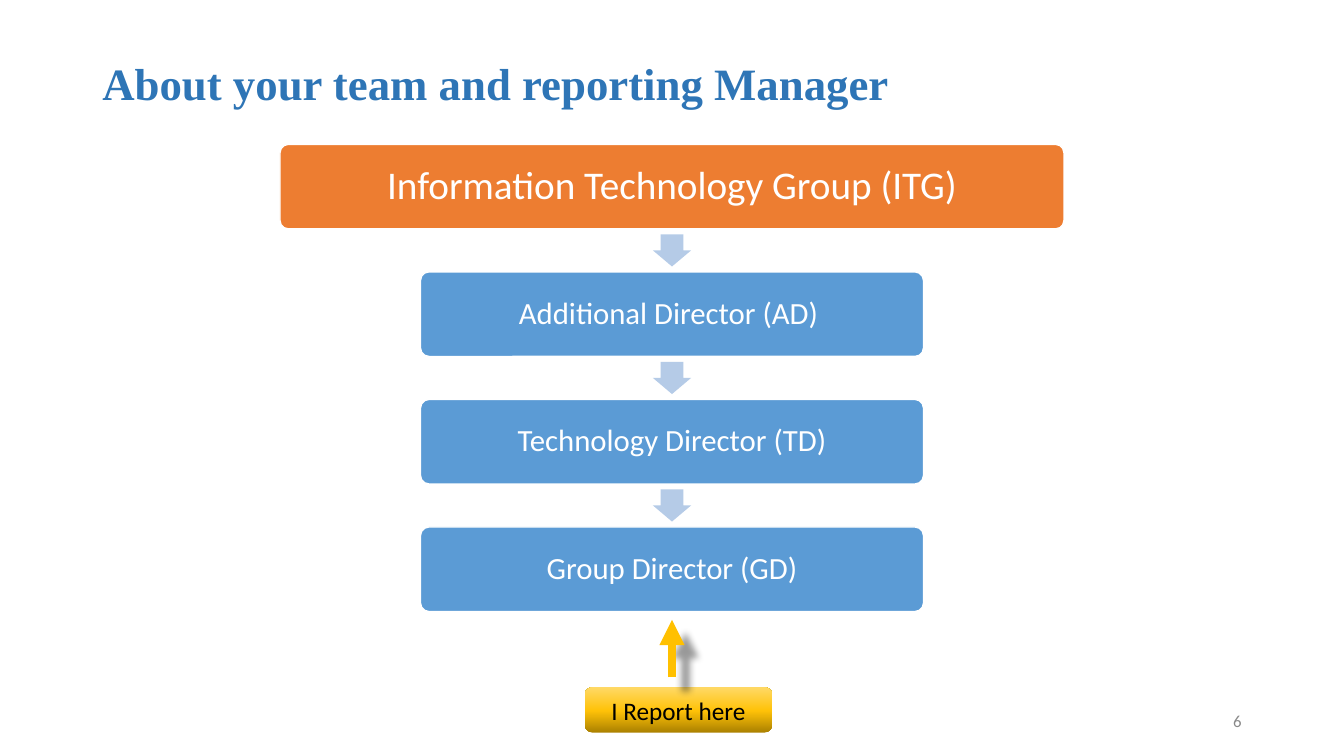
import pptx
import pptx.util
from pptx.dml.color import RGBColor
from pptx.enum.shapes import MSO_CONNECTOR, MSO_SHAPE
from pptx.enum.text import MSO_ANCHOR, PP_ALIGN
from pptx.oxml import parse_xml
from pptx.oxml.ns import nsdecls

Pt = pptx.util.Pt

WHITE = RGBColor(0xFF, 0xFF, 0xFF)
BLACK = RGBColor(0x00, 0x00, 0x00)
TITLE_BLUE = RGBColor(0x2E, 0x75, 0xB6)
GREY = RGBColor(0x89, 0x89, 0x89)
ORANGE = RGBColor(0xED, 0x7D, 0x31)
BLUE = RGBColor(0x5B, 0x9B, 0xD5)
PALE_BLUE = RGBColor(0xB5, 0xCB, 0xE7)
GOLD = RGBColor(0xFF, 0xC0, 0x00)
GOLD_STOPS = [(0, RGBColor(0xAB, 0x81, 0x00)),
              (48, RGBColor(0xFF, 0xC2, 0x08)),
              (100, RGBColor(0xFF, 0xD9, 0x66))]

LEVELS = ["Information Technology Group (ITG)", "Additional Director (AD) ",
          "Technology Director (TD)", "Group Director (GD)"]


def set_text(s, text, size, color, font="Calibri", bold=False,
             align=PP_ALIGN.CENTER, spacing=None):
    tf = s.text_frame
    tf.word_wrap = True
    tf.vertical_anchor = MSO_ANCHOR.MIDDLE
    p = tf.paragraphs[0]
    p.alignment = align
    p.line_spacing = spacing
    r = p.add_run()
    r.text = text
    r.font.name, r.font.size, r.font.bold = font, Pt(size), bold
    r.font.color.rgb = color


def add_label(slide, box, text, size, color, **fmt):
    s = slide.shapes.add_textbox(*map(Pt, box))
    set_text(s, text, size, color, **fmt)


def add_block(slide, kind, box, fill=None, adjust=()):
    s = slide.shapes.add_shape(kind, *map(Pt, box))
    s.shadow.inherit = False
    s.line.fill.background()
    if fill is not None:
        s.fill.solid()
        s.fill.fore_color.rgb = fill
    for i, value in enumerate(adjust):
        s.adjustments[i] = value
    return s


def add_hierarchy(slide, box):
    """Stack the levels in equal steps, with a down arrow in each gap."""
    left, top, width, height = box
    card_h, arrow_w, arrow_h = 60.4, 27.3, 23
    center = left + width / 2
    step = (height - card_h) / (len(LEVELS) - 1)
    for i, level in enumerate(LEVELS):
        y = top + i * step
        card_w, fill, size = (width, ORANGE, 28) if i == 0 else (359.3, BLUE, 22)
        if i:
            arrow_y = y - (step - card_h + arrow_h) / 2
            add_block(slide, MSO_SHAPE.DOWN_ARROW,
                      (center - arrow_w / 2, arrow_y, arrow_w, arrow_h),
                      PALE_BLUE, (0.6, 0.5))
        s = add_block(slide, MSO_SHAPE.ROUNDED_RECTANGLE,
                      (center - card_w / 2, y, card_w, card_h), fill, (0.1,))
        s.line.color.rgb = WHITE
        s.line.width = Pt(1)
        set_text(s, level, size, WHITE, spacing=0.9)


def add_report_marker(slide, box):
    """Place the gold button at the foot of the box and an arrow above it."""
    left, top, width, height = box
    button_h, arrow_h, arrow_x = 32.4, 41, 480

    # Button with a vertical gradient
    s = add_block(slide, MSO_SHAPE.ROUNDED_RECTANGLE,
                  (left, top + height - button_h, width, button_h))
    stops = "".join(f'<a:gs pos="{pos * 1000}"><a:srgbClr val="{color}"/></a:gs>'
                    for pos, color in GOLD_STOPS)
    s.fill.gradient()
    s.fill.gradient_angle = 90
    grad = s.element.spPr.find(pptx.oxml.ns.qn("a:gradFill"))
    grad.replace(grad.gsLst, parse_xml(
        f'<a:gsLst {nsdecls("a")}>{stops}</a:gsLst>'))
    set_text(s, "I Report here", 18, BLACK)

    # Upward arrow with a soft shadow
    s = slide.shapes.add_connector(MSO_CONNECTOR.STRAIGHT, Pt(arrow_x),
                                   Pt(top + arrow_h), Pt(arrow_x), Pt(top))
    s.line.color.rgb = GOLD
    s.line.width = Pt(6)
    s.line._get_or_add_ln().append(
        parse_xml(f'<a:tailEnd {nsdecls("a")} type="triangle"/>'))
    s._element.spPr.append(parse_xml(
        f'<a:effectLst {nsdecls("a")}><a:outerShdw blurRad="{Pt(5)}" '
        'sx="102000" sy="102000" algn="ctr" rotWithShape="0">'
        '<a:srgbClr val="000000"><a:alpha val="40000"/></a:srgbClr>'
        '</a:outerShdw></a:effectLst>'))


def build_team_slide(prs):
    slide = prs.slides.add_slide(prs.slide_layouts[6])
    add_label(slide, (66, 28.8, 828, 64.8), "About your team and reporting Manager",
              32, TITLE_BLUE, font="Times New Roman", bold=True,
              align=PP_ALIGN.LEFT, spacing=0.9)
    add_label(slide, (678, 500.4, 216, 28.8), "6", 12, GREY, align=PP_ALIGN.RIGHT)
    add_hierarchy(slide, (200, 103.1, 560, 333.7))
    add_report_marker(slide, (417.8, 442.8, 133.7, 80.5))


def main():
    prs = pptx.Presentation()
    prs.slide_width, prs.slide_height = Pt(960), Pt(540)
    build_team_slide(prs)
    prs.save("out.pptx")


if __name__ == "__main__":
    main()
